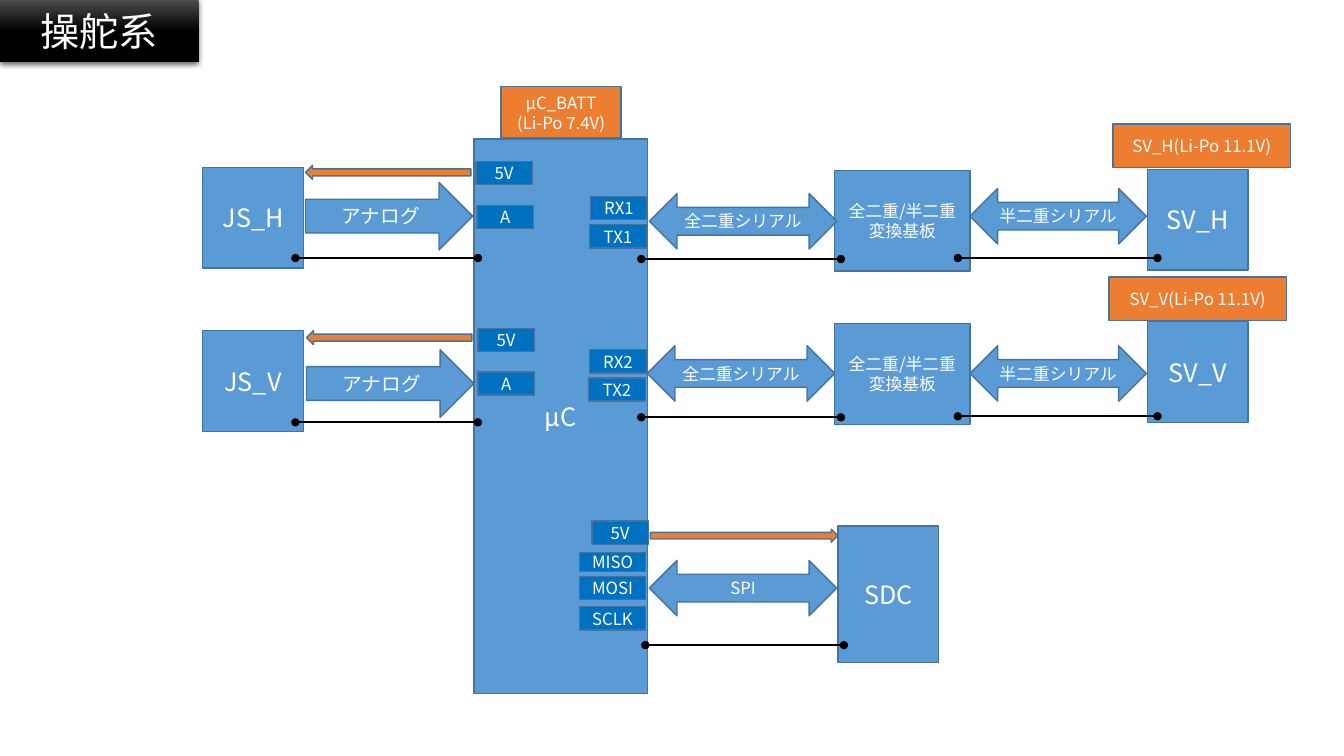
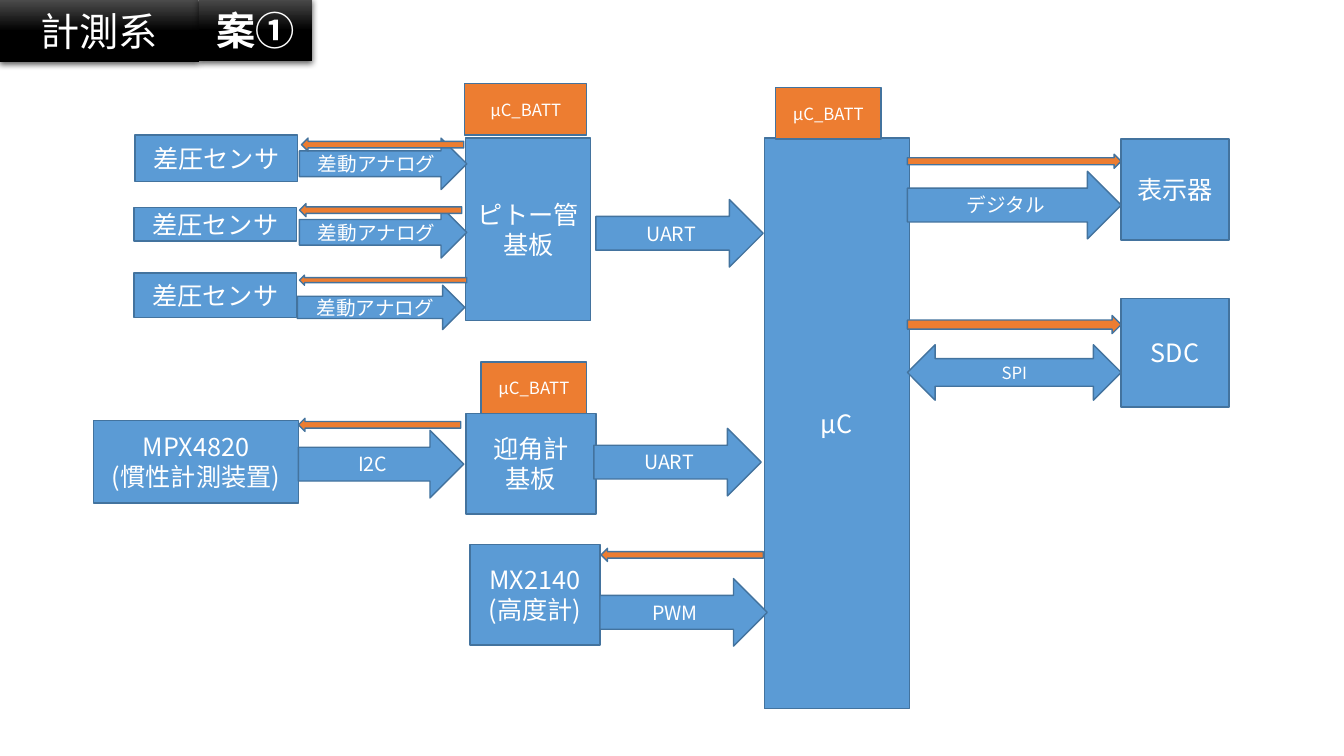
from dataclasses import dataclass
from typing import NamedTuple

from lxml import etree
from pptx import Presentation
from pptx import util as u
from pptx.dml import color
from pptx.enum import dml, shapes, text
from pptx.oxml import ns

FONT = "Noto Sans CJK JP"
COLORS = {
    "block": "5B9BD5",
    "power": "ED7D31",
    "pin": "0070C0",
    "outline": "43739E",
    "white": "FFFFFF",
    "black": "000000",
    "band_top": "4B4B4B",
}
BAND_HEIGHT = 0.62
TITLE_WIDTH = 1.97


@dataclass(frozen=True)
class Style:
    preset: shapes.MSO_SHAPE
    fill: str
    size: int = 12


STYLES = {
    "block": Style(shapes.MSO_SHAPE.RECTANGLE, "block", 18),
    "board": Style(shapes.MSO_SHAPE.RECTANGLE, "block"),
    "battery": Style(shapes.MSO_SHAPE.RECTANGLE, "power"),
    "pin": Style(shapes.MSO_SHAPE.RECTANGLE, "pin"),
    "signal": Style(shapes.MSO_SHAPE.RIGHT_ARROW, "block", 14),
    "bus": Style(shapes.MSO_SHAPE.LEFT_RIGHT_ARROW, "block"),
    "supply_left": Style(shapes.MSO_SHAPE.LEFT_ARROW, "power"),
    "supply_right": Style(shapes.MSO_SHAPE.RIGHT_ARROW, "power"),
}


class Item(NamedTuple):
    style: str
    left: float
    top: float
    width: float
    height: float
    label: str = ""


class Ground(NamedTuple):
    left: float
    right: float
    top: float


def rgb(name: str) -> color.RGBColor:
    return color.RGBColor.from_string(COLORS[name])


def write(shape, label: str, size: int, bold: bool = False) -> None:
    frame = shape.text_frame
    frame_format = {
        "word_wrap": True,
        "auto_size": text.MSO_AUTO_SIZE.NONE,
        "vertical_anchor": text.MSO_ANCHOR.MIDDLE,
    }
    for name, value in frame_format.items():
        setattr(frame, name, value)
    font_format = {"name": FONT, "size": u.Pt(size), "bold": bold}
    for index, line in enumerate(label.split("\n")):
        para = frame.add_paragraph() if index else frame.paragraphs[0]
        para.alignment = text.PP_ALIGN.CENTER
        span = para.add_run()
        span.text = line
        for name, value in font_format.items():
            setattr(span.font, name, value)
        span.font.color.rgb = rgb("white")
        east_asian = etree.SubElement(span.font._element, ns.qn("a:ea"))
        east_asian.set("typeface", FONT)


def draw_item(page, item: Item) -> None:
    style = STYLES[item.style]
    box = page.shapes.add_shape(style.preset, *map(u.Inches, item[1:5]))
    box.shadow.inherit = False
    box.fill.solid()
    box.fill.fore_color.rgb = rgb(style.fill)
    box.line.color.rgb = rgb("outline")
    box.line.width = u.Pt(1)
    if item.label:
        write(box, item.label, style.size)


def draw_ground(page, ground: Ground) -> None:
    line = page.shapes.add_connector(
        shapes.MSO_CONNECTOR.STRAIGHT,
        u.Inches(ground.left), u.Inches(ground.top),
        u.Inches(ground.right), u.Inches(ground.top),
    )
    line.line.color.rgb = rgb("black")
    line.line.width = u.Pt(1.5)
    outline = line.line._get_or_add_ln()
    for end in ("a:headEnd", "a:tailEnd"):
        etree.SubElement(outline, ns.qn(end)).set("type", "oval")
    etree.SubElement(line._element.spPr, ns.qn("a:effectLst"))


def format_band(band, left: float, top: float, width: float, label: str,
                bold: bool = False) -> None:
    place = {"left": left, "top": top, "width": width, "height": BAND_HEIGHT}
    for name, value in place.items():
        setattr(band, name, u.Inches(value))
    band.fill.gradient()
    band.fill.gradient_angle = 270
    stops = (("band_top", 0), ("black", 0.5))
    for stop, (name, position) in zip(band.fill.gradient_stops, stops):
        stop.color.rgb = rgb(name)
        stop.position = position
    band.line.fill.background()
    band.shadow.inherit = False
    effects = band._element.spPr.find(ns.qn("a:effectLst"))
    shadow = etree.SubElement(effects, ns.qn("a:outerShdw"))
    shadow_format = {
        "blurRad": u.Pt(4.5), "dist": u.Pt(1.5), "dir": 5400000,
        "algn": "ctr", "rotWithShape": 0,
    }
    for name, value in shadow_format.items():
        shadow.set(name, str(value))
    tint = etree.SubElement(shadow, ns.qn("a:srgbClr"))
    tint.set("val", COLORS["black"])
    etree.SubElement(tint, ns.qn("a:alpha")).set("val", "63000")
    write(band, label, 28, bold)


def add_page(deck, title: str, items: list[Item], grounds: list[Ground]):
    page = deck.slides.add_slide(deck.slide_layouts[5])
    format_band(page.shapes.title, 0, 0, TITLE_WIDTH, title)
    for item in items:
        draw_item(page, item)
    for ground in grounds:
        draw_ground(page, ground)
    return page


def steering_items() -> list[Item]:
    blocks = [
        Item("block", 2.01, 1.66, 1, 1, "JS_H"),
        Item("block", 2.01, 3.28, 1, 1, "JS_V"),
        Item("block", 11.38, 1.68, 1, 1, "SV_H"),
        Item("block", 11.38, 3.19, 1, 1, "SV_V"),
        Item("block", 4.7, 1.38, 1.72, 5.5, "μC"),
        Item("block", 8.31, 5.22, 1, 1.35, "SDC"),
        Item("battery", 4.97, 0.86, 1.19, 0.51, "μC_BATT\n(Li-Po 7.4V)"),
        Item("battery", 11.04, 1.23, 1.76, 0.43, "SV_H(Li-Po 11.1V)"),
        Item("battery", 11, 2.75, 1.76, 0.43, "SV_V(Li-Po 11.1V)"),
    ]
    boards = [Item("board", 8.28, top, 1.34, 1, "全二重/半二重\n変換基板")
              for top in (1.69, 3.21)]
    signals = [Item("signal", left, top, 1.66, 0.67, "アナログ")
               for left, top in ((3.03, 1.81), (3.04, 3.47))]
    servo_buses = [Item("bus", 9.62, top, 1.75, 0.55, "半二重シリアル")
                   for top in (1.87, 3.43)]
    controller_buses = [
        Item("bus", left, top, 1.86, 0.55, label)
        for left, top, label in (
            (6.44, 1.92, "全二重シリアル"),
            (6.42, 3.43, "全二重シリアル"),
            (6.44, 5.56, "SPI"),
        )
    ]
    supplies = [
        Item("supply_left", 3.03, 1.64, 1.64, 0.14),
        Item("supply_left", 3.04, 3.28, 1.64, 0.14),
        Item("supply_right", 6.45, 5.25, 1.86, 0.13),
    ]
    pins = [
        Item("pin", left, top, 0.56, 0.23, label)
        for left, top, label in (
            (5.86, 1.95, "RX1"), (5.85, 2.23, "TX1"),
            (5.85, 3.47, "RX2"), (5.84, 3.75, "TX2"),
            (4.72, 1.6, "5V"), (4.73, 2.04, "A"),
            (4.74, 3.26, "5V"), (4.74, 3.69, "A"),
            (5.87, 5.17, "5V"),
        )
    ]
    spi_pins = [
        Item("pin", 5.75, top, 0.65, height, label)
        for top, height, label in (
            (5.48, 0.19, "MISO"), (5.72, 0.23, "MOSI"), (6.02, 0.23, "SCLK"),
        )
    ]
    return (blocks + boards + signals + servo_buses + controller_buses
            + supplies + pins + spi_pins)


STEERING_GROUNDS = [
    Ground(2.93, 4.74, 2.56), Ground(2.93, 4.74, 4.19),
    Ground(6.36, 8.34, 2.57), Ground(6.36, 8.34, 4.14),
    Ground(6.4, 8.37, 6.4),
    Ground(9.5, 11.48, 2.56), Ground(9.5, 11.48, 4.13),
]


def measuring_items() -> list[Item]:
    blocks = [
        Item("block", 4.62, 1.37, 1.24, 1.81, "ピトー管\n基板"),
        Item("block", 4.62, 4.1, 1.29, 1, "迎角計\n基板"),
        Item("block", 4.66, 5.4, 1.29, 1, "MX2140\n(高度計)"),
        Item("block", 0.93, 4.17, 2.03, 0.82, "MPX4820\n(慣性計測装置)"),
        Item("block", 7.58, 1.37, 1.44, 5.66, "μC"),
        Item("block", 11.12, 1.38, 1.07, 1, "表示器"),
        Item("block", 11.12, 2.96, 1.07, 1.08, "SDC"),
    ]
    sensors = [
        Item("block", left, top, 1.61, height, "差圧センサ")
        for left, top, height in (
            (1.34, 1.34, 0.46), (1.33, 2.06, 0.33), (1.33, 2.71, 0.44),
        )
    ]
    batteries = [
        Item("battery", left, top, width, 0.51, "μC_BATT")
        for left, top, width in (
            (4.61, 0.83, 1.21), (4.77, 3.59, 1.05), (7.69, 0.87, 1.05),
        )
    ]
    sensor_signals = [
        Item("signal", left, top, 1.66, height, "差動アナログ")
        for left, top, height in (
            (2.97, 1.37, 0.51), (2.97, 2.05, 0.51), (2.95, 2.83, 0.44),
        )
    ]
    signals = [
        Item("signal", left, top, width, 0.67, label)
        for left, top, width, label in (
            (5.91, 1.98, 1.66, "UART"),
            (5.89, 4.25, 1.66, "UART"),
            (5.95, 5.74, 1.66, "PWM"),
            (2.96, 4.27, 1.64, "I2C"),
            (9, 1.7, 2.12, "デジタル"),
        )
    ]
    supplies = [
        Item("supply_left", left, top, 1.61, 0.13)
        for left, top in (
            (2.99, 1.37), (2.97, 2.02), (2.96, 4.15), (5.96, 5.44),
        )
    ]
    others = [
        Item("supply_left", 2.97, 2.73, 1.66, 0.1),
        Item("supply_right", 9, 1.53, 2.12, 0.14),
        Item("supply_right", 9, 3.13, 2.12, 0.18),
        Item("bus", 9, 3.42, 2.12, 0.55, "SPI"),
    ]
    return (blocks + sensors + batteries + sensor_signals + signals
            + supplies + others)


def main() -> None:
    deck = Presentation()
    deck.slide_width = u.Inches(13.33)
    deck.slide_height = u.Inches(7.5)
    add_page(deck, "操舵系", steering_items(), STEERING_GROUNDS)
    page = add_page(deck, "計測系", measuring_items(), [])
    plan = page.shapes.add_shape(
        shapes.MSO_SHAPE.RECTANGLE, 0, 0, u.Inches(1), u.Inches(1))
    format_band(plan, TITLE_WIDTH, -0.01, 1.13, "案①", bold=True)
    deck.save("out.pptx")


if __name__ == "__main__":
    main()
